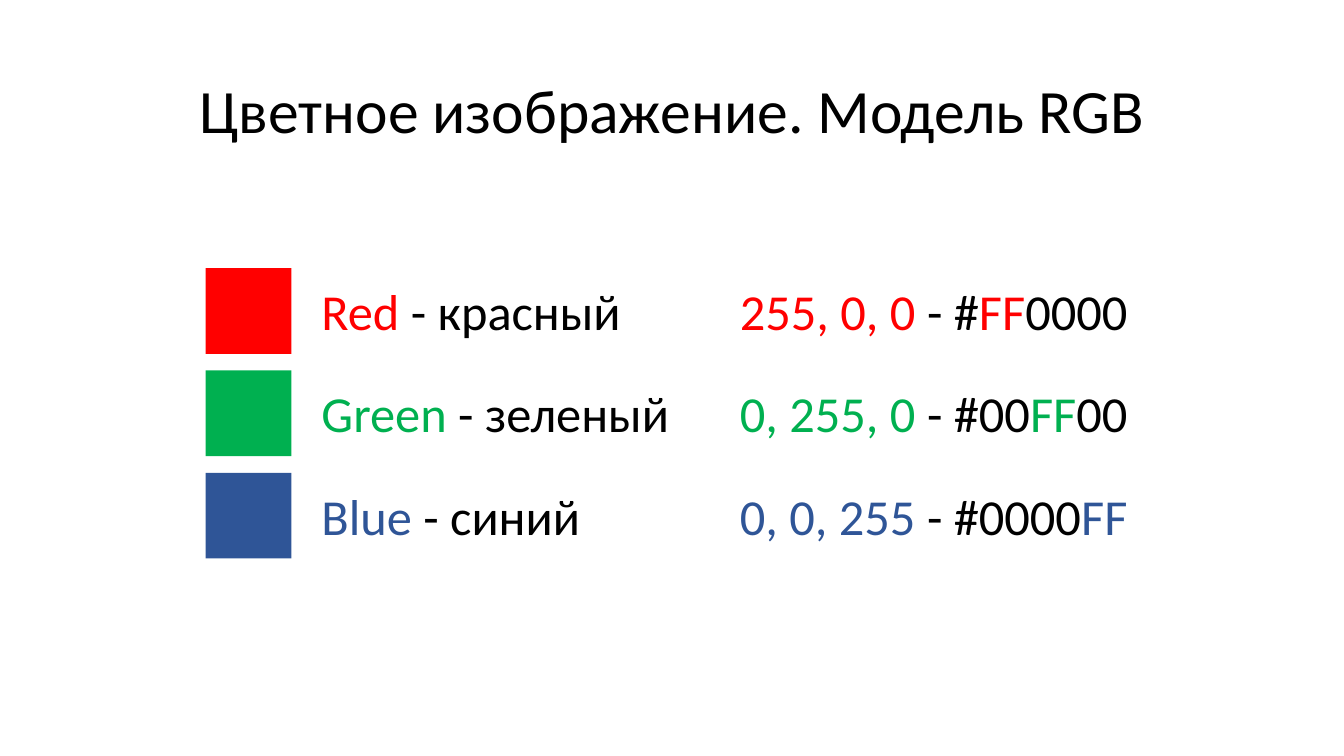
from dataclasses import dataclass

from pptx import Presentation
from pptx.dml.color import RGBColor
from pptx.enum.shapes import MSO_SHAPE
from pptx.enum.text import MSO_ANCHOR, MSO_AUTO_SIZE, PP_ALIGN
from pptx.slide import Slide
from pptx.util import Inches, Pt

RECT = MSO_SHAPE.RECTANGLE
TOP, MIDDLE = MSO_ANCHOR.TOP, MSO_ANCHOR.MIDDLE
LEFT, CENTER = PP_ALIGN.LEFT, PP_ALIGN.CENTER
FIT, FIXED = MSO_AUTO_SIZE.SHAPE_TO_FIT_TEXT, MSO_AUTO_SIZE.NONE

FONT = "Calibri"
BLACK = "000000"
SIDE = 0.85
FIRST = 2.66
STEP = 1.015
SWATCH_X, NAME_X, CODE_X = 2.04, 3.09, 7.24
CODE_W, TEXT_H = 4.08, 0.71

Run = tuple[str, str]
Box = tuple[float, float, float, float]


@dataclass(frozen=True)
class Channel:
    color: str
    name: str
    label: str
    width: float
    value: str
    before: str
    after: str


CHANNELS = [
    Channel("FF0000", "Red", " - красный", 3.2, "255, 0, 0", " - #", "0000"),
    Channel("00B050", "Green", " - зеленый", 3.68, "0, 255, 0", " - #00", "00"),
    Channel("2F5597", "Blue", " - синий", 2.79, "0, 0, 255", " - #0000", ""),
]


def rgb(code: str) -> RGBColor:
    return RGBColor.from_string(code)


def add_text(slide: Slide, box: Box, runs: list[Run], *, size: int = 36,
             align: PP_ALIGN = LEFT, anchor: MSO_ANCHOR = TOP,
             wrap: bool = False, fit: MSO_AUTO_SIZE = FIT,
             spacing: float = 1.0) -> None:
    frame = slide.shapes.add_textbox(*map(Inches, box)).text_frame
    frame.word_wrap = wrap
    frame.auto_size = fit
    frame.vertical_anchor = anchor
    para = frame.paragraphs[0]
    para.alignment = align
    para.line_spacing = spacing
    for text, color in runs:
        run = para.add_run()
        run.text = text
        run.font.name = FONT
        run.font.size = Pt(size)
        run.font.color.rgb = rgb(color)


def add_swatch(slide: Slide, top: float, color: str) -> None:
    box = (SWATCH_X, top, SIDE, SIDE)
    swatch = slide.shapes.add_shape(RECT, *map(Inches, box))
    swatch.shadow.inherit = False
    swatch.fill.solid()
    swatch.fill.fore_color.rgb = rgb(color)
    swatch.line.fill.background()


def add_channel(slide: Slide, top: float, item: Channel) -> None:
    add_swatch(slide, top, item.color)
    text_y = top + (SIDE - TEXT_H) / 2
    add_text(slide, (NAME_X, text_y, item.width, TEXT_H),
             [(item.name, item.color), (item.label, BLACK)])
    code = [(item.value, item.color), (item.before, BLACK), ("FF", item.color)]
    if item.after:
        code.append((item.after, BLACK))
    add_text(slide, (CODE_X, text_y, CODE_W, TEXT_H), code)


def main() -> None:
    deck = Presentation()
    deck.slide_width = Inches(13.33)
    deck.slide_height = Inches(7.5)
    slide = deck.slides.add_slide(deck.slide_layouts[6])
    add_text(slide, (0.92, 0.4, 11.5, 1.45),
             [("Цветное изображение. Модель RGB", BLACK)], size=44,
             align=CENTER, anchor=MIDDLE, wrap=True, fit=FIXED, spacing=0.9)
    for row, item in enumerate(CHANNELS):
        add_channel(slide, FIRST + row * STEP, item)
    deck.save("out.pptx")


if __name__ == "__main__":
    main()
